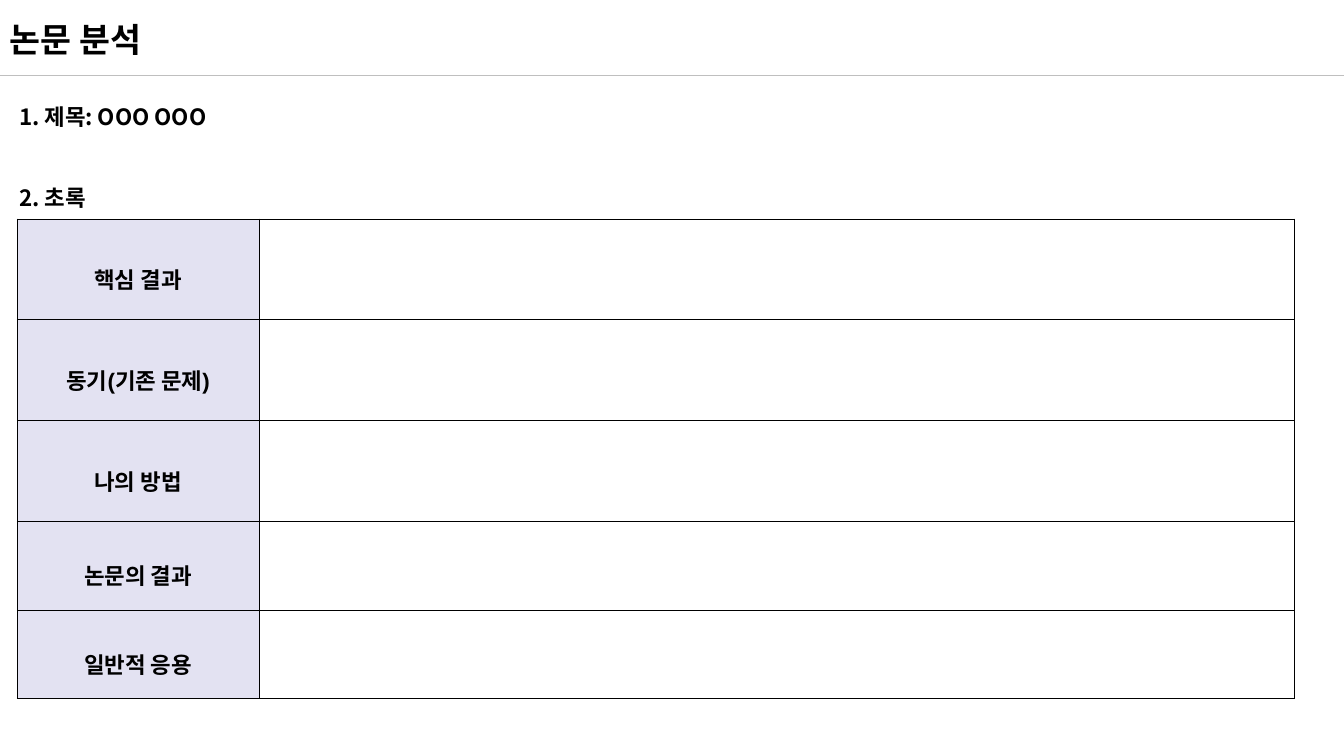
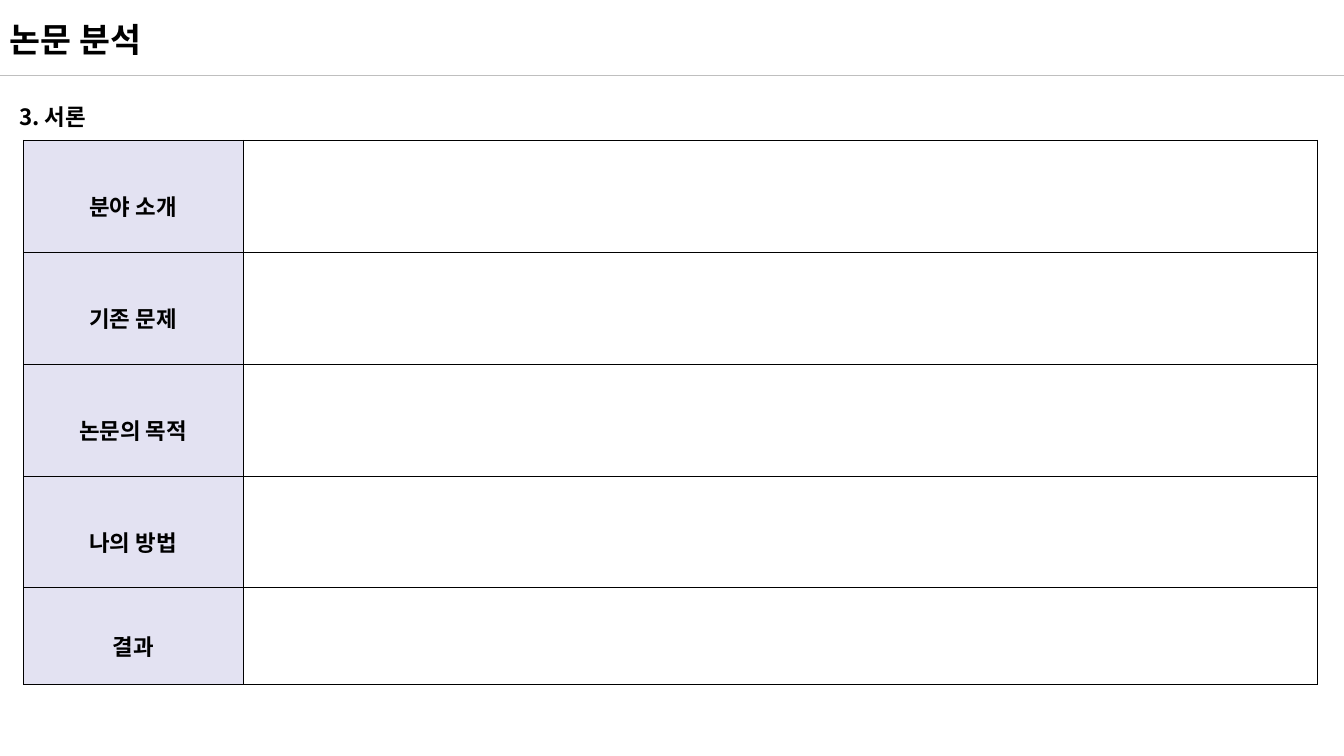
from dataclasses import dataclass

from lxml import etree
from pptx import Presentation
from pptx.dml.color import RGBColor
from pptx.enum.shapes import MSO_CONNECTOR
from pptx.enum.text import MSO_ANCHOR, MSO_AUTO_SIZE, PP_ALIGN
from pptx.oxml.ns import qn
from pptx.slide import Slide
from pptx.table import _Cell
from pptx.text.text import Font
from pptx.util import Inches, Pt

STRAIGHT = MSO_CONNECTOR.STRAIGHT
MIDDLE = MSO_ANCHOR.MIDDLE
GROW = MSO_AUTO_SIZE.SHAPE_TO_FIT_TEXT
CENTER = PP_ALIGN.CENTER

BLACK = RGBColor(0x00, 0x00, 0x00)
RULE_GRAY = RGBColor(0xBF, 0xBF, 0xBF)
LABEL_LAVENDER = RGBColor(0xE3, 0xE2, 0xF2)

TEXT_FONT = "Noto Sans CJK KR"
TABLE_FONT = "Arial"
TITLE = "논문 분석"
TITLE_SIZE = 24
BODY_SIZE = 16
HEADING_GAP = Pt(29)
BORDER_WIDTH = Pt(0.28)
SLIDE_WIDTH = Inches(13.33)
SLIDE_HEIGHT = Inches(7.5)


@dataclass(frozen=True)
class Box:
    left: float
    top: float
    width: float
    height: float


@dataclass(frozen=True)
class LabelTable:
    left: float
    top: float
    column_widths: tuple[float, float]
    row_heights: tuple[float, ...]
    labels: tuple[str, ...]


@dataclass(frozen=True)
class Page:
    headings: tuple[str, ...]
    heading_box: Box
    table: LabelTable


TITLE_BOX = Box(0, 0.14, 12.84, 0.5)

PAGES = (
    Page(
        ("1. 제목: OOO OOO", "2. 초록"),
        Box(0.09, 0.84, 12.85, 1.72),
        LabelTable(
            0.17, 2.17, (2.4, 10.27), (1, 1, 1, 0.88, 0.88),
            ("핵심 결과", "동기(기존 문제)", "나의 방법", "논문의 결과", "일반적 응용"),
        ),
    ),
    Page(
        ("3. 서론",),
        Box(0.09, 0.84, 12.85, 0.91),
        LabelTable(
            0.23, 1.39, (2.18, 10.65), (1.11, 1.11, 1.11, 1.11, 0.96),
            ("분야 소개", "기존 문제", "논문의 목적", "나의 방법", "결과"),
        ),
    ),
)


def style_font(font: Font, name: str, size: float) -> None:
    font.name = name
    font.size = Pt(size)
    font.bold = True
    font.color.rgb = BLACK


def add_text(slide: Slide, box: Box, lines: tuple[str, ...], size: float,
             line_spacing: float = 1.0) -> None:
    shape = slide.shapes.add_textbox(
        Inches(box.left), Inches(box.top), Inches(box.width), Inches(box.height))
    frame = shape.text_frame
    frame.word_wrap = True
    frame.auto_size = GROW
    frame.text = "\n".join(lines)
    for index, paragraph in enumerate(frame.paragraphs):
        paragraph.line_spacing = line_spacing
        if index:
            paragraph.space_before = HEADING_GAP
        style_font(paragraph.font, TEXT_FONT, size)


def add_title_band(slide: Slide) -> None:
    rule = slide.shapes.add_connector(
        STRAIGHT, 0, Inches(0.75), SLIDE_WIDTH, Inches(0.75))
    rule.line.color.rgb = RULE_GRAY
    rule.line.width = Pt(0.5)
    etree.SubElement(rule._element.spPr, qn("a:effectLst"))
    add_text(slide, TITLE_BOX, (TITLE,), TITLE_SIZE)


def add_borders(cell: _Cell) -> None:
    properties = cell._tc.get_or_add_tcPr()
    for index, side in enumerate(("a:lnL", "a:lnR", "a:lnT", "a:lnB")):
        border = etree.Element(qn(side), w=str(int(BORDER_WIDTH)))
        fill = etree.SubElement(border, qn("a:solidFill"))
        etree.SubElement(fill, qn("a:srgbClr"), val=str(BLACK))
        properties.insert(index, border)


def add_label_table(slide: Slide, layout: LabelTable) -> None:
    table = slide.shapes.add_table(
        len(layout.labels), len(layout.column_widths),
        Inches(layout.left), Inches(layout.top),
        Inches(sum(layout.column_widths)), Inches(sum(layout.row_heights))).table
    table.first_row = False
    table.horz_banding = False
    for column, width in zip(table.columns, layout.column_widths):
        column.width = Inches(width)
    for row, height, label in zip(table.rows, layout.row_heights, layout.labels):
        row.height = Inches(height)
        label_cell, content_cell = row.cells
        label_cell.fill.solid()
        label_cell.fill.fore_color.rgb = LABEL_LAVENDER
        content_cell.fill.background()
        for cell in row.cells:
            cell.vertical_anchor = MIDDLE
            cell.margin_left = cell.margin_right = Inches(0.07)
            cell.margin_top = cell.margin_bottom = Inches(0.02)
            add_borders(cell)
        label_cell.text = label
        paragraph = label_cell.text_frame.paragraphs[0]
        paragraph.alignment = CENTER
        paragraph.line_spacing = 1.6
        style_font(paragraph.font, TABLE_FONT, BODY_SIZE)


def build() -> None:
    presentation = Presentation()
    presentation.slide_width = SLIDE_WIDTH
    presentation.slide_height = SLIDE_HEIGHT
    blank_layout = presentation.slide_layouts[6]
    for page in PAGES:
        slide = presentation.slides.add_slide(blank_layout)
        add_title_band(slide)
        add_text(slide, page.heading_box, page.headings, BODY_SIZE, 1.5)
        add_label_table(slide, page.table)
    presentation.save("out.pptx")


build()
